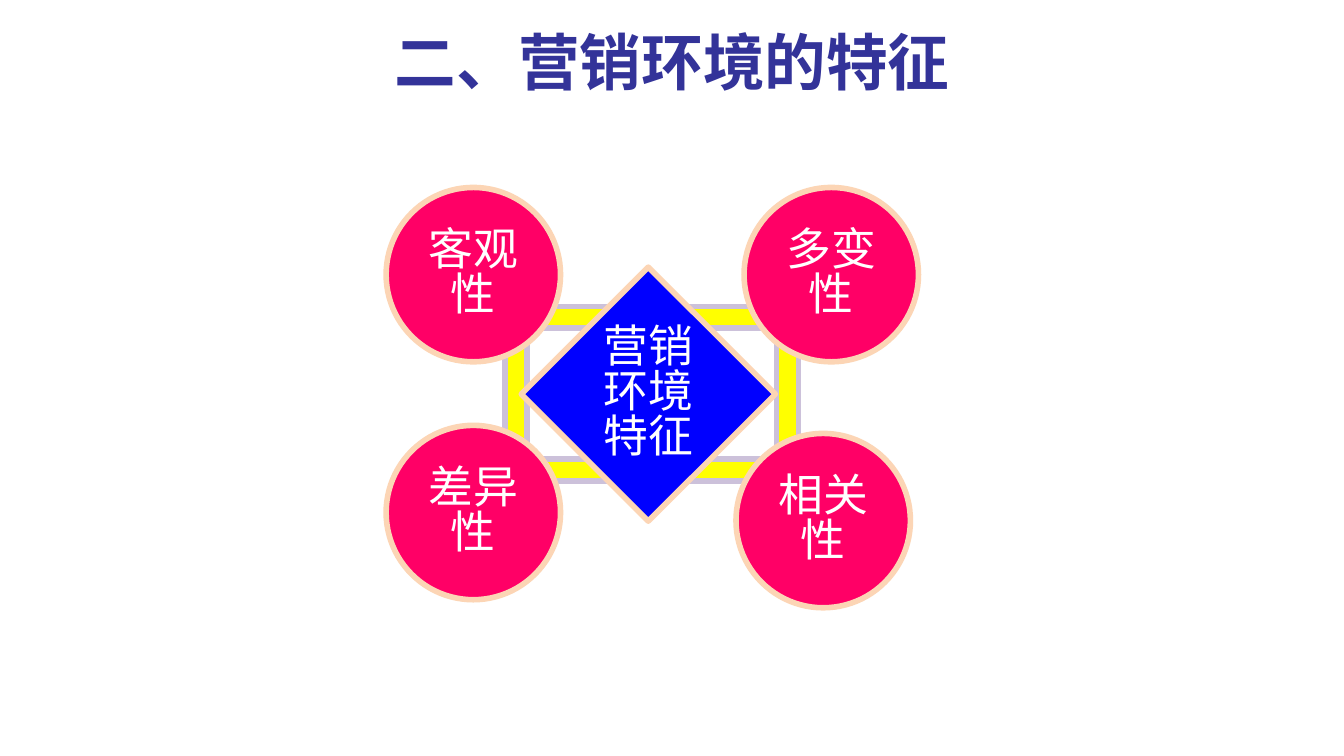
import pptx
import pptx.util
import pptx.dml.color
import pptx.enum.shapes
import pptx.enum.text
import pptx.oxml
import pptx.oxml.ns

Inches = pptx.util.Inches
Pt = pptx.util.Pt
RGBColor = pptx.dml.color.RGBColor
Kind = pptx.enum.shapes.MSO_SHAPE

NAVY = RGBColor(0x33, 0x33, 0x99)
PINK = RGBColor(0xFF, 0x00, 0x66)
PEACH = RGBColor(0xFC, 0xD5, 0xB5)
LILAC = RGBColor(0xCC, 0xC1, 0xDA)
YELLOW = RGBColor(0xFF, 0xFF, 0x00)
BLUE = RGBColor(0x00, 0x00, 0xFF)
WHITE = RGBColor(0xFF, 0xFF, 0xFF)

DISC = 1.73
TRAITS = [
    ("客观性", 3.83, 1.86),
    ("差异性", 3.83, 4.22),
    ("多变性", 7.38, 1.86),
    ("相关性", 7.3, 4.3),
]


class Board:
    title = {"name": "Noto Sans CJK JP", "size": Pt(44), "bold": True}
    label = {"name": "Noto Sans CJK SC", "size": Pt(32), "bold": False}
    edge = Pt(4)

    def __init__(self, slide):
        self.slide = slide

    def letter(self, shape, text, style, color, space=None):
        """Put centred, styled text into a shape."""
        frame = shape.text_frame
        frame.word_wrap = True
        frame.vertical_anchor = pptx.enum.text.MSO_ANCHOR.MIDDLE
        para = frame.paragraphs[0]
        para.alignment = pptx.enum.text.PP_ALIGN.CENTER
        para.line_spacing = space
        run = para.add_run()
        run.text = text
        for key, value in style.items():
            setattr(run.font, key, value)
        run.font.color.rgb = color
        # Chinese glyphs take their typeface from a:ea
        east = pptx.oxml.parse_xml(
            f'<a:ea {pptx.oxml.ns.nsdecls("a")} typeface="{style["name"]}"/>')
        run.font._element.append(east)

    def head(self, text, *box):
        shape = self.slide.shapes.add_textbox(*map(Inches, box))
        self.letter(shape, text, self.title, NAVY)

    def shape(self, kind, box, fill, line, text=None):
        shape = self.slide.shapes.add_shape(kind, *map(Inches, box))
        shape.shadow.inherit = False
        shape.fill.solid()
        shape.fill.fore_color.rgb = fill
        shape.line.color.rgb = line
        shape.line.width = self.edge
        if text:
            self.letter(shape, text, self.label, WHITE, 0.83)


def main():
    deck = pptx.Presentation()
    deck.slide_width = Inches(13.33)
    deck.slide_height = Inches(7.5)
    board = Board(deck.slides.add_slide(deck.slide_layouts[6]))

    board.head("二、营销环境的特征", 0.67, 0.13, 12, 0.95)
    board.shape(Kind.FRAME, (5.01, 3.04, 2.91, 1.73), YELLOW, LILAC)
    for name, left, top in TRAITS:
        board.shape(Kind.OVAL, (left, top, DISC, DISC), PINK, PEACH, name)
    board.shape(Kind.FLOWCHART_DECISION, (5.17, 2.65, 2.52, 2.52),
                BLUE, PEACH, "营销环境特征")
    deck.save("out.pptx")


if __name__ == "__main__":
    main()
